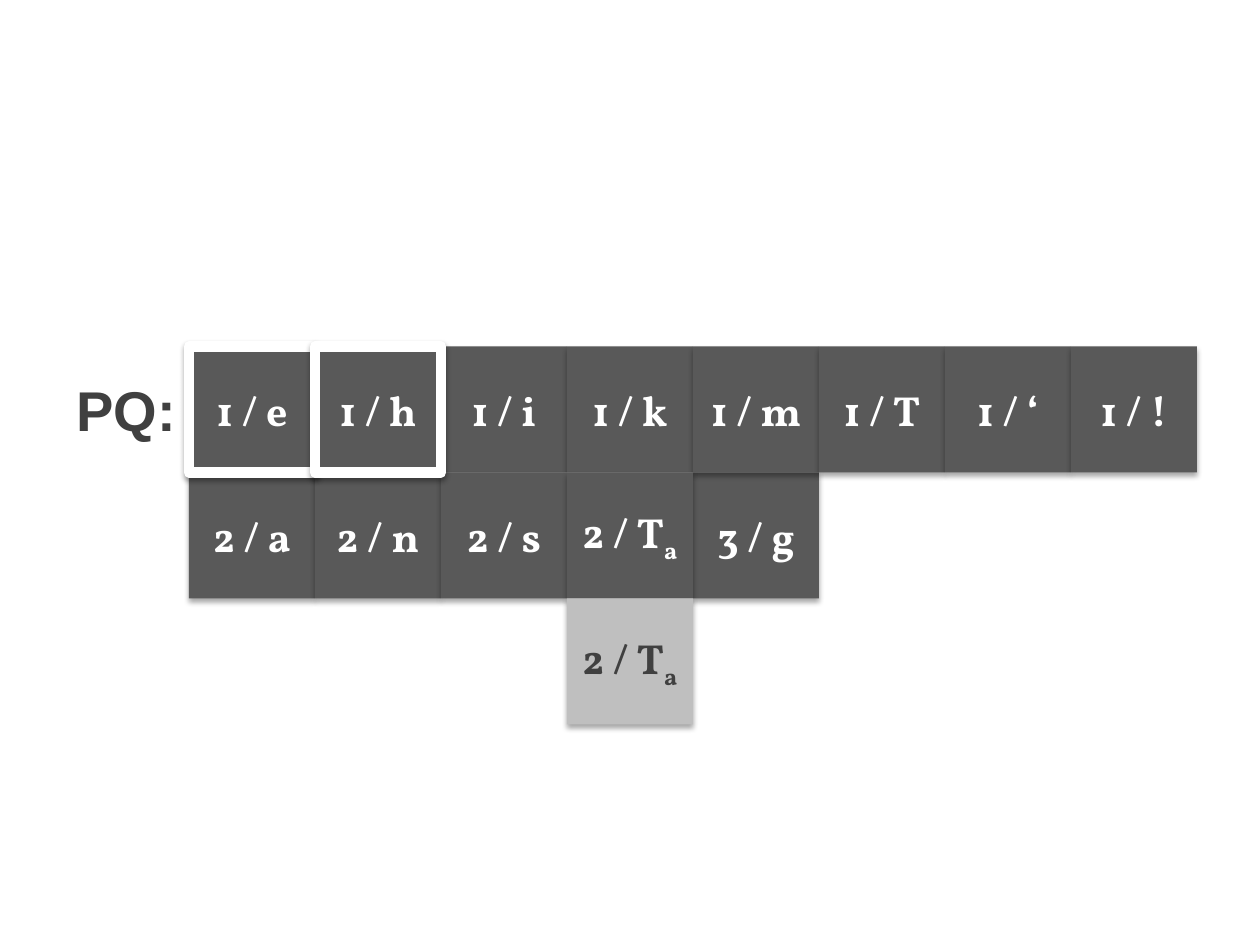
import lxml.etree
import pptx
import pptx.dml.color
import pptx.enum.shapes
import pptx.enum.text
import pptx.oxml.ns
import pptx.util
from pptx.util import Cm

WHITE = pptx.dml.color.RGBColor(0xFF, 0xFF, 0xFF)
DARK = pptx.dml.color.RGBColor(0x59, 0x59, 0x59)
LIGHT = pptx.dml.color.RGBColor(0xBF, 0xBF, 0xBF)
INK = pptx.dml.color.RGBColor(0x40, 0x40, 0x40)

CELL = Cm(2.54)
LEFT, TOP = Cm(3.81), Cm(6.985)

# (text, subscript, column, row), from back to front
QUEUE = [
    ("2 / a", "", 0, 1),
    ("3 / g", "", 4, 1),
    ("1 / i", "", 2, 0),
    ("1 / k", "", 3, 0),
    ("1 / m", "", 4, 0),
    ("2 / n", "", 1, 1),
    ("2 / s", "", 2, 1),
    ("1 / T", "", 5, 0),
    ("1 / ‘", "", 6, 0),
    ("1 / !", "", 7, 0),
    ("2 / T", "a", 3, 1),
]
SMALLEST = [("1 / e", "", 0, 0), ("1 / h", "", 1, 0)]


def write(s, text, sub="", size=24, font="Vollkorn", color=WHITE, wrap=True):
    """Write bold, centred text, with an optional subscript after it."""
    tf = s.text_frame
    tf.word_wrap = wrap
    tf.vertical_anchor = pptx.enum.text.MSO_ANCHOR.MIDDLE
    p = tf.paragraphs[0]
    p.alignment = pptx.enum.text.PP_ALIGN.CENTER
    for part, baseline in ((text, None), (sub, "-25000")):
        if not part:
            continue
        r = p.add_run()
        r.text = part
        r.font.name = font
        r.font.size = pptx.util.Pt(size)
        r.font.bold = True
        r.font.color.rgb = color
        if baseline:
            r._r.get_or_add_rPr().set("baseline", baseline)


def add_drop_shadow(s):
    qn = pptx.oxml.ns.qn
    s.shadow.inherit = False
    effects = s._element.spPr.find(qn("a:effectLst"))
    shadow = lxml.etree.SubElement(
        effects, qn("a:outerShdw"), blurRad="40000", dist="23000",
        dir="5400000", rotWithShape="0")
    color = lxml.etree.SubElement(shadow, qn("a:srgbClr"), val="000000")
    lxml.etree.SubElement(color, qn("a:alpha"), val="35000")


def add_node(slide, text, sub, col, row, fill=DARK, color=WHITE, framed=False):
    s = slide.shapes.add_shape(
        pptx.enum.shapes.MSO_SHAPE.RECTANGLE,
        LEFT + col * CELL, TOP + row * CELL, CELL, CELL)
    s.fill.solid()
    s.fill.fore_color.rgb = fill
    if framed:
        s.line.color.rgb = WHITE
        s.line.width = pptx.util.Pt(6)
    else:
        s.line.fill.background()
    add_drop_shadow(s)
    write(s, text, sub, color=color)


def add_label(slide, text):
    s = slide.shapes.add_textbox(LEFT - CELL, TOP, CELL, CELL)
    write(s, text, size=32, font="Arial", color=INK, wrap=False)


def main():
    prs = pptx.Presentation()
    prs.slide_width, prs.slide_height = Cm(25.4), Cm(19.05)
    slide = prs.slides.add_slide(prs.slide_layouts[6])
    add_label(slide, "PQ:")
    for node in QUEUE:
        add_node(slide, *node)
    for node in SMALLEST:
        add_node(slide, *node, framed=True)
    add_node(slide, "2 / T", "a", 3, 2, fill=LIGHT, color=INK)
    prs.save("out.pptx")


if __name__ == "__main__":
    main()
